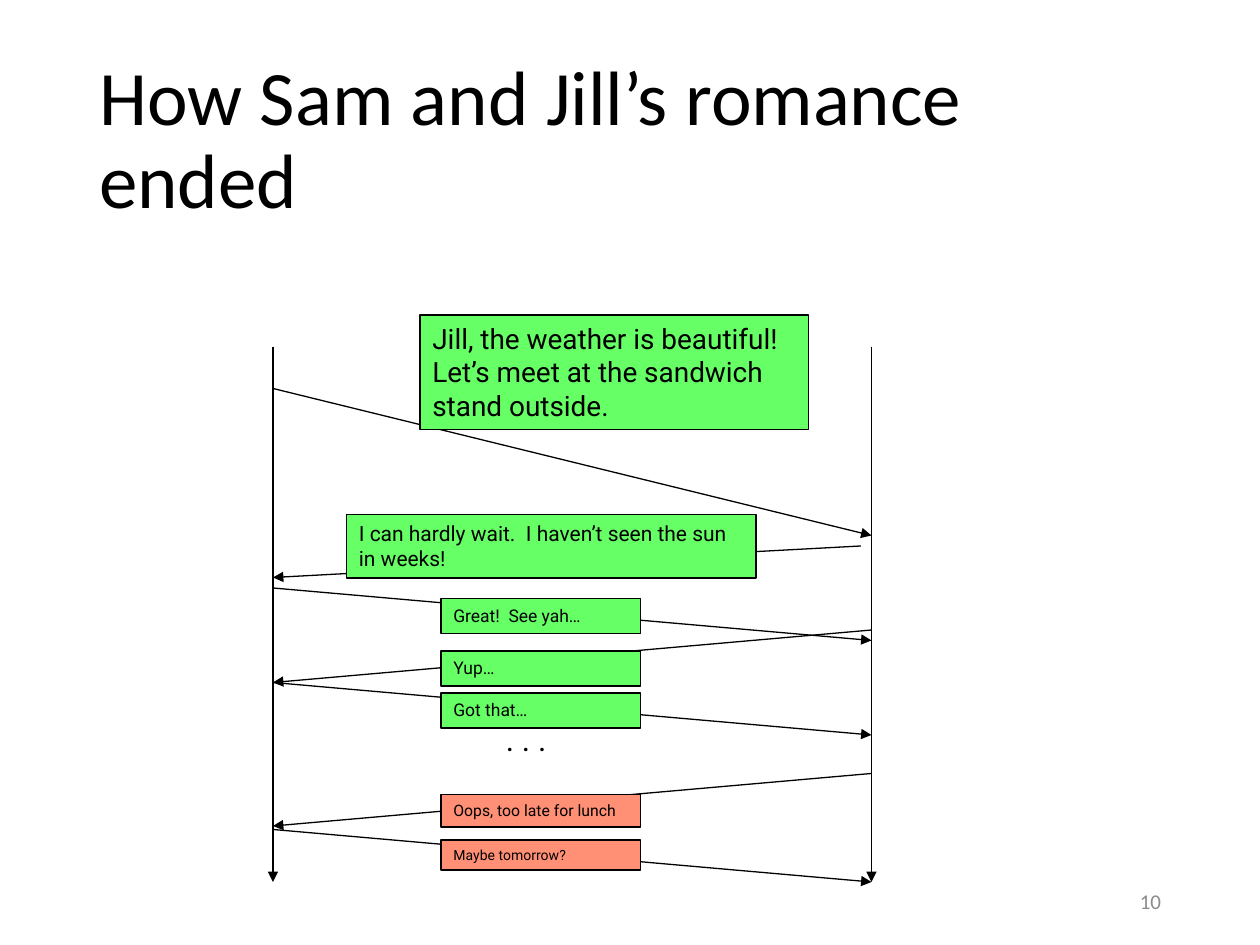
from lxml import etree
from pptx import Presentation
from pptx.dml.color import RGBColor
from pptx.enum import shapes, text
from pptx.oxml import ns
from pptx.util import Pt

# Content
TITLE = "How Sam and Jill’s romance ended"
PAGE = "10"
GREEN, RED, BLACK, GREY = "66FF66", "FF8F75", "000000", "8C8C8C"
SAM, JILL = 156, 498          # x of the two time lines
START, END = 198, 504         # y of the time lines

# Arrows: from x, from y, to x, to y
ARROWS = [
    (SAM, START, SAM, END),
    (JILL, START, JILL, END),
    (SAM, 222, JILL, 306),
    (492, 312, SAM, 330),
    (SAM, 336, JILL, 366),
    (JILL, 360, SAM, 390),
    (SAM, 390, JILL, 420),
    (JILL, 442, SAM, 472),
    (SAM, 474, JILL, 504),
]

# Messages: words, font size, fill, (left, top, width, height)
MID, WIDE = 252, 114
NOTES = [
    ("Jill, the weather is beautiful!  Let’s meet at the sandwich stand outside.",
     16, GREEN, (240, 180, 222, 65.6)),
    ("I can hardly wait.  I haven’t seen the sun in weeks!",
     12, GREEN, (198, 294, 234, 36.4)),
    ("Great!  See yah…", 10, GREEN, (MID, 342, WIDE, 20)),
    ("Yup…", 10, GREEN, (MID, 372, WIDE, 20)),
    ("Got that…", 10, GREEN, (MID, 396, WIDE, 20)),
    ("Oops, too late for lunch", 9, RED, (MID, 454, WIDE, 18.6)),
    ("Maybe tomorrow?", 8, RED, (MID, 480, WIDE, 17.2)),
]
DOTS = ". . ."


def color(code):
    return RGBColor.from_string(code)


def write(shape, words, size, face="Roboto", ink=BLACK,
          align=text.PP_ALIGN.LEFT, anchor=text.MSO_ANCHOR.TOP):
    frame = shape.text_frame
    frame.word_wrap = True
    frame.vertical_anchor = anchor
    par = frame.paragraphs[0]
    par.text = words
    par.alignment = align
    par.font.size = Pt(size)
    par.font.name = face
    par.font.color.rgb = color(ink)
    return par


def arrow(slide, *ends):
    link = slide.shapes.add_connector(
        shapes.MSO_CONNECTOR.STRAIGHT, *map(Pt, ends))
    link.line.color.rgb = color(BLACK)
    link.line.width = Pt(0.75)
    tail = etree.SubElement(link.line._get_or_add_ln(), ns.qn("a:tailEnd"))
    tail.set("type", "triangle")
    etree.SubElement(link._element.spPr, ns.qn("a:effectLst"))


def note(slide, words, size, fill, area):
    box = slide.shapes.add_shape(shapes.MSO_SHAPE.RECTANGLE, *map(Pt, area))
    box.shadow.inherit = False
    box.fill.solid()
    box.fill.fore_color.rgb = color(fill)
    box.line.color.rgb = color(BLACK)
    box.line.width = Pt(0.75)
    write(box, words, size)


def main():
    deck = Presentation()
    deck.slide_width, deck.slide_height = Pt(720), Pt(540)
    slide = deck.slides.add_slide(deck.slide_layouts[5])

    # Title
    head = slide.shapes.title
    head.left, head.top, head.width, head.height = map(
        Pt, (49.5, 28.75, 621, 104.4))
    par = write(head, TITLE, 44, "Calibri", anchor=text.MSO_ANCHOR.MIDDLE)
    par.line_spacing = 0.9

    # Page number
    page = slide.shapes.add_textbox(*map(Pt, (508.5, 500.5, 162, 28.75)))
    write(page, PAGE, 12, "Calibri", GREY,
          text.PP_ALIGN.RIGHT, text.MSO_ANCHOR.MIDDLE)

    # Time lines and message arrows, then the messages over them
    for ends in ARROWS:
        arrow(slide, *ends)
    for item in NOTES:
        note(slide, *item)

    # Gap in the exchange
    dots = slide.shapes.add_textbox(*map(Pt, (282, 408, 96, 29)))
    write(dots, DOTS, 18)

    deck.save("out.pptx")


if __name__ == "__main__":
    main()
